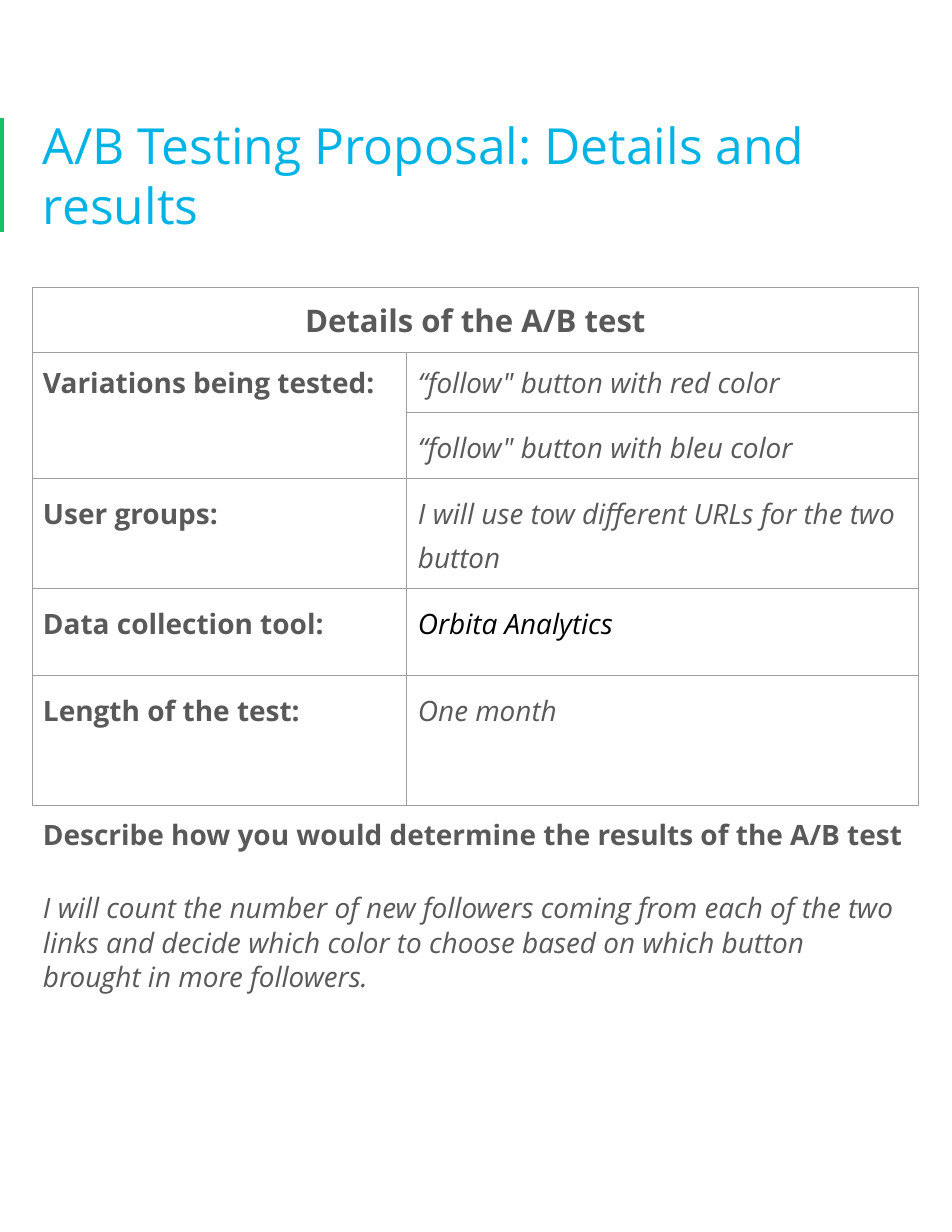
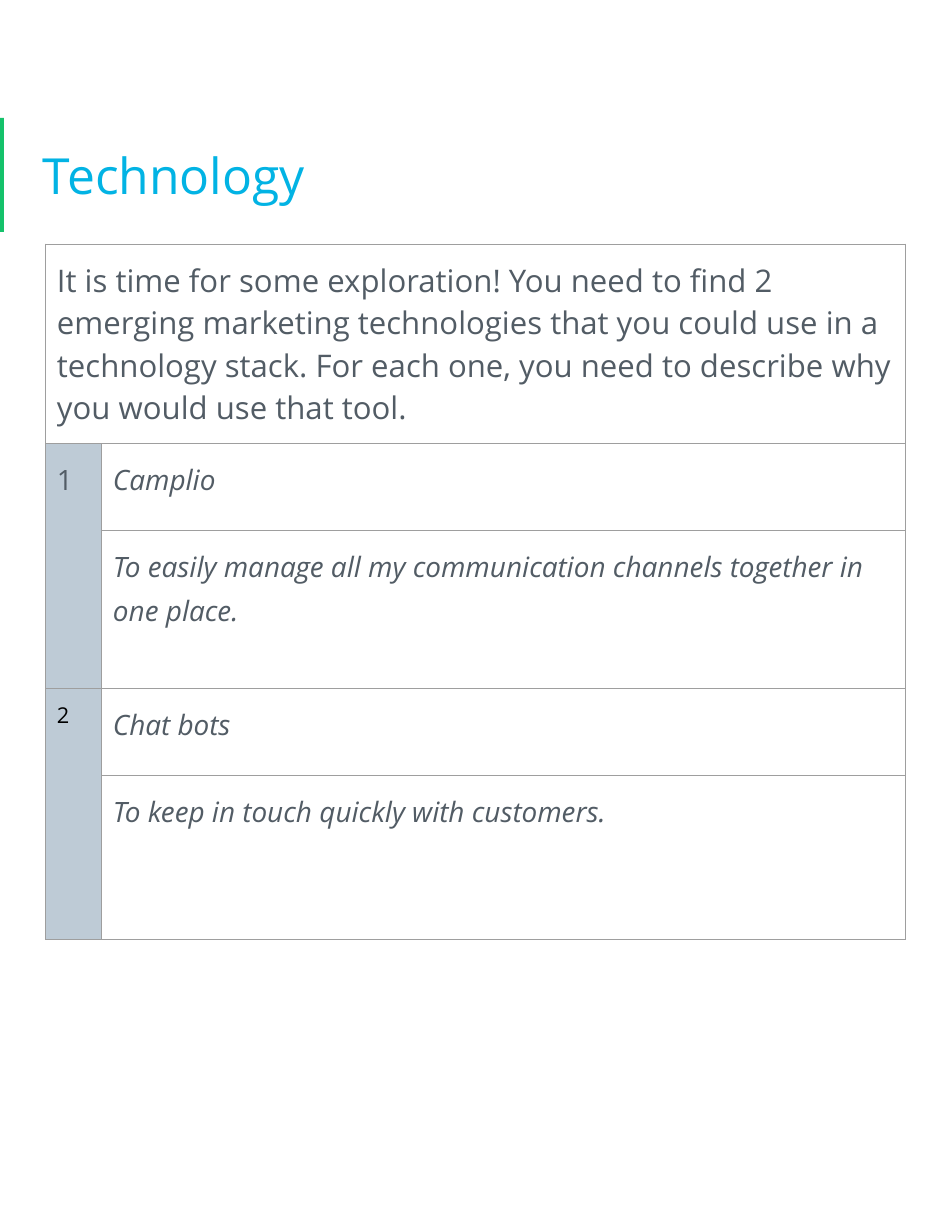
from lxml import etree
from pptx import Presentation
from pptx.dml.color import RGBColor
from pptx.enum.shapes import MSO_SHAPE
from pptx.enum.text import MSO_ANCHOR, MSO_AUTO_SIZE, PP_ALIGN
from pptx.oxml.ns import qn
from pptx.util import Pt

RECTANGLE = MSO_SHAPE.RECTANGLE
TOP, MIDDLE = MSO_ANCHOR.TOP, MSO_ANCHOR.MIDDLE
LEFT, CENTER = PP_ALIGN.LEFT, PP_ALIGN.CENTER
NO_AUTOFIT = MSO_AUTO_SIZE.NONE

PX_PER_INCH = 112
PAGE_WIDTH, PAGE_HEIGHT = 952, 1232
INSET = 11
TITLE_ONLY = 5

GREEN, BLUE, BLACK = "15C26B", "02B3E4", "000000"
GRAY, SLATE = "595959", "525C65"
PALE_BLUE, BORDER = "BECBD6", "9E9E9E"

SPACED = {"line_spacing": 1.15, "space_after": Pt(16)}
ANSWER = {"italic": True}
LABEL = {"bold": True}


def px(length):
    return round(length * 914400 / PX_PER_INCH)


def rgb(value):
    return RGBColor.from_string(value)


def assign(target, values):
    for name, value in values.items():
        setattr(target, name, value)


def entry(text, font=None, paragraph=SPACED, size=18, color=None, anchor=TOP, fill=None):
    return {"text": text, "font": font or {}, "paragraph": paragraph,
            "size": size, "color": color, "anchor": anchor, "fill": fill}


class Proposal:
    font_name = "Open Sans"
    insets = dict.fromkeys(
        ("margin_left", "margin_top", "margin_right", "margin_bottom"), px(INSET))

    def __init__(self):
        self.deck = Presentation()
        self.deck.slide_width = px(PAGE_WIDTH)
        self.deck.slide_height = px(PAGE_HEIGHT)
        self.slide = None

    def start_slide(self, title):
        self.slide = self.deck.slides.add_slide(self.deck.slide_layouts[TITLE_ONLY])
        self.bar(0, 118, 4, 114, GREEN)
        heading = self.slide.shapes.title
        assign(heading, {"left": px(32), "top": px(106),
                         "width": px(887), "height": px(137)})
        assign(heading.text_frame, {**self.insets, "word_wrap": True,
                                    "auto_size": NO_AUTOFIT, "vertical_anchor": MIDDLE})
        self.add_run(heading.text_frame.paragraphs[0], title, 32, BLUE,
                     {"bold": False}, {"alignment": LEFT, "line_spacing": 1.0})

    def bar(self, left, top, width, height, color):
        accent = self.slide.shapes.add_shape(
            RECTANGLE, px(left), px(top), px(width), px(height))
        accent.shadow.inherit = False
        accent.fill.solid()
        accent.fill.fore_color.rgb = rgb(color)
        accent.line.fill.background()

    def add_run(self, paragraph, text, size, color, font, layout):
        assign(paragraph, layout)
        run = paragraph.add_run()
        run.text = text
        assign(run.font, {"name": self.font_name, "size": Pt(size), **font})
        run.font.color.rgb = rgb(color)

    def text(self, left, top, width, height, entries, color):
        box = self.slide.shapes.add_textbox(px(left), px(top), px(width), px(height))
        frame = box.text_frame
        assign(frame, {**self.insets, "word_wrap": True})
        for index, item in enumerate(entries):
            paragraph = frame.add_paragraph() if index else frame.paragraphs[0]
            self.add_run(paragraph, item["text"], item["size"], color,
                         item["font"], item["paragraph"])

    def table(self, left, top, columns, rows, entries, merges, color):
        grid = self.slide.shapes.add_table(
            len(rows), len(columns), px(left), px(top),
            px(sum(columns)), px(sum(rows))).table
        assign(grid, {"first_row": False, "horz_banding": False})
        for column, width in zip(grid.columns, columns):
            column.width = px(width)
        for row, height in zip(grid.rows, rows):
            row.height = px(height)
        for first, last in merges:
            grid.cell(*first).merge(grid.cell(*last))
        for row, items in enumerate(entries):
            for column, item in enumerate(items):
                self.cell(grid.cell(row, column), item, color)

    def cell(self, cell, item, color):
        assign(cell, self.insets)
        self.borders(cell)
        if item is None:
            cell.fill.background()
            return
        cell.vertical_anchor = item["anchor"]
        if item["fill"]:
            cell.fill.solid()
            cell.fill.fore_color.rgb = rgb(item["fill"])
        else:
            cell.fill.background()
        self.add_run(cell.text_frame.paragraphs[0], item["text"], item["size"],
                     item["color"] or color, item["font"], item["paragraph"])

    def borders(self, cell):
        properties = cell._tc.get_or_add_tcPr()
        for side in ("a:lnL", "a:lnR", "a:lnT", "a:lnB"):
            line = etree.SubElement(properties, qn(side), w=str(Pt(0.75)))
            fill = etree.SubElement(line, qn("a:solidFill"))
            etree.SubElement(fill, qn("a:srgbClr"), val=BORDER)


def add_test_details(proposal):
    proposal.start_slide("A/B Testing Proposal: Details and results")
    details = [
        [entry("Details of the A/B test", LABEL, {"alignment": CENTER}, 20), None],
        [entry("Variations being tested:", LABEL, {}),
         entry("“follow\" button with red color", ANSWER, {})],
        [None, entry("“follow\" button with bleu color", ANSWER)],
        [entry("User groups:", LABEL),
         entry("I will use tow different URLs for the two button", ANSWER)],
        [entry("Data collection tool:", LABEL),
         entry("Orbita Analytics", ANSWER, color=BLACK)],
        [entry("Length of the test:", LABEL), entry("One month", ANSWER)],
    ]
    proposal.table(32, 288, [375, 512], [64, 60, 66, 110, 87, 130], details,
                   [((0, 0), (0, 1)), ((1, 0), (2, 0))], GRAY)
    results = [
        entry("Describe how you would determine the results of the A/B test",
              LABEL, {"line_spacing": 1.02, "space_after": Pt(25)}),
        entry("I will count the number of new followers coming from each of the two "
              "links and decide which color to choose based on which button brought "
              "in more followers.", ANSWER, {"line_spacing": 1.02}),
    ]
    proposal.text(32, 806, 887, 217, results, GRAY)


def add_technology(proposal):
    proposal.start_slide("Technology")
    technologies = [
        (entry("1", fill=PALE_BLUE), "Camplio",
         "To easily manage all my communication channels together in one place."),
        (entry("2", paragraph={}, size=14, color=BLACK, fill=PALE_BLUE), "Chat bots",
         "To keep in touch quickly with customers."),
    ]
    stack = [[entry("It is time for some exploration! You need to find 2 emerging "
                    "marketing technologies that you could use in a technology stack. "
                    "For each one, you need to describe why you would use that tool.",
                    paragraph={"space_after": Pt(16)}, size=20, anchor=MIDDLE), None]]
    merges = [((0, 0), (0, 1))]
    for number, tool, reason in technologies:
        merges.append(((len(stack), 0), (len(stack) + 1, 0)))
        stack += [[number, entry(tool, ANSWER)], [None, entry(reason, ANSWER)]]
    proposal.table(46, 244, [56, 804], [200, 87, 158, 87, 164], stack, merges, SLATE)


def main():
    proposal = Proposal()
    add_test_details(proposal)
    add_technology(proposal)
    proposal.deck.save("out.pptx")


if __name__ == "__main__":
    main()
